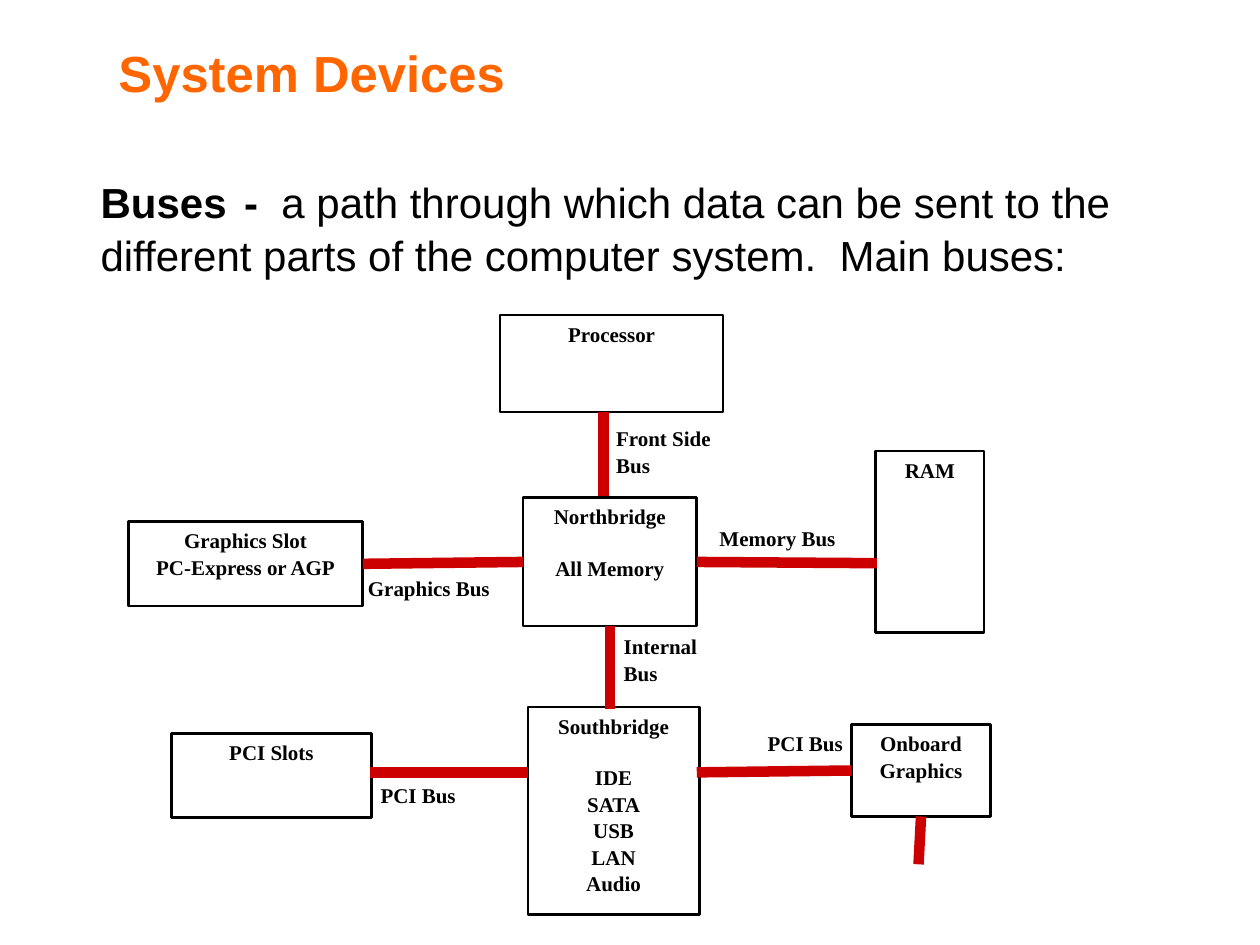
from typing import NamedTuple

from lxml import etree
from pptx import Presentation
from pptx.dml.color import RGBColor
from pptx.enum.shapes import MSO_CONNECTOR, MSO_SHAPE
from pptx.enum.text import MSO_ANCHOR, MSO_AUTO_SIZE, PP_ALIGN
from pptx.oxml.ns import qn
from pptx.util import Inches, Pt

STRAIGHT = MSO_CONNECTOR.STRAIGHT
RECTANGLE = MSO_SHAPE.RECTANGLE
TOP, MIDDLE = MSO_ANCHOR.TOP, MSO_ANCHOR.MIDDLE
NO_FIT, GROW = MSO_AUTO_SIZE.NONE, MSO_AUTO_SIZE.SHAPE_TO_FIT_TEXT
LEFT, CENTER, RIGHT = PP_ALIGN.LEFT, PP_ALIGN.CENTER, PP_ALIGN.RIGHT
BOTTOM_SIDE, LEFT_SIDE, RIGHT_SIDE = 2, 1, 3

COLORS = {"title": "FF6600", "text": "000000", "outline": "000000", "bus": "CC0000"}
TITLE_ONLY = 5
COLUMNS, ROWS = 100, 75
LINE_SPACING = 1.05
BLOCK_GAP = Pt(14.5)

# name: (left, top, width, height, lines, gap after the first line)
DEVICES = {
    "processor": (29.5, 0, 17.7, 7.7, ["Processor"], False),
    "ram": (59.3, 10.8, 8.6, 14.4, ["RAM"], False),
    "northbridge": (31.3, 14.5, 13.8, 10.2, ["Northbridge", "All Memory"], True),
    "southbridge": (31.7, 31.1, 13.6, 16.5,
                    ["Southbridge", "IDE", "SATA", "USB", "LAN", "Audio"], True),
    "graphics slot": (0, 16.4, 18.6, 6.7, ["Graphics Slot", "PC-Express or AGP"], False),
    "pci slots": (3.4, 33.2, 15.9, 6.7, ["PCI Slots"], False),
    "onboard": (57.4, 32.5, 11, 7.3, ["Onboard", "Graphics"], False),
}
# start, end, joined start, joined end
BUSES = [
    ((37.7, 7.7), (37.7, 14.4), None, None),
    ((38.2, 24.7), (38.2, 31.3), ("northbridge", BOTTOM_SIDE), None),
    ((18.6, 19.7), (31.3, 19.7), ("graphics slot", RIGHT_SIDE), ("northbridge", LEFT_SIDE)),
    ((45, 19.7), (59.4, 19.7), ("northbridge", RIGHT_SIDE), None),
    ((19.2, 36.3), (31.7, 36.3), None, None),
    ((45.1, 36.3), (57.4, 36.3), None, ("onboard", LEFT_SIDE)),
    ((62.9, 39.8), (62.7, 43.6), ("onboard", BOTTOM_SIDE), None),
]
LABELS = [
    ("Front Side Bus", 38.3, 8.3, 9.5, 6.1, LEFT),
    ("Memory Bus", 46.5, 16.2, 12.2, 2.8, LEFT),
    ("Graphics Bus", 18.6, 20.2, 12.2, 2.8, LEFT),
    ("Internal Bus", 38.9, 24.8, 9.5, 6.1, LEFT),
    ("PCI Bus", 19.6, 36.6, 11.1, 2.8, LEFT),
    ("PCI Bus", 46, 32.5, 11.1, 2.8, RIGHT),
]


class Box(NamedTuple):
    """A region of the page in length units, with the size of its grid cell."""
    left: int
    top: int
    width: int
    height: int
    column: float
    row: float

    def point(self, across, down):
        """Return the place that lies so many columns and rows into the box."""
        return round(self.left + across * self.column), round(self.top + down * self.row)

    def inner(self, across, down, columns, rows):
        """Return a smaller box inside this one."""
        return Box(*self.point(across, down), round(columns * self.column),
                   round(rows * self.row), self.column, self.row)


def color(name):
    """Return the named colour."""
    return RGBColor.from_string(COLORS[name])


def set_font(font, face, size, bold, shade="text"):
    """Set face, size, weight and colour of a font."""
    font.name, font.size, font.bold = face, Pt(size), bold
    font.color.rgb = color(shade)


def write_lines(shape, lines, align, gap=False):
    """Write small bold lines at the top of a device or label."""
    frame = shape.text_frame
    frame.word_wrap, frame.auto_size, frame.vertical_anchor = True, NO_FIT, TOP
    frame.margin_left = frame.margin_right = Inches(0.04)
    frame.margin_top = frame.margin_bottom = Inches(0.04)
    frame.text = "\n".join(lines)
    for para in frame.paragraphs:
        para.alignment, para.line_spacing = align, LINE_SPACING
        set_font(para.font, "Times New Roman", 12, True)
    if gap:
        frame.paragraphs[0].space_after = BLOCK_GAP


def place_title(page, box):
    """Place the title in the given box."""
    title = page.shapes.title
    title.left, title.top, title.width, title.height = box[:4]
    frame = title.text_frame
    frame.text = "System Devices"
    frame.vertical_anchor, frame.auto_size = MIDDLE, NO_FIT
    para = frame.paragraphs[0]
    para.alignment = LEFT
    set_font(para.font, "Arial", 29, True, "title")


def place_definition(page, box):
    """Place the definition of a bus in the given box."""
    frame = page.shapes.add_textbox(*box[:4]).text_frame
    frame.word_wrap, frame.auto_size = True, GROW
    para = frame.paragraphs[0]
    para.line_spacing = LINE_SPACING
    pieces = [
        ("Buses", 24, True), ("  ", 18, True), ("-  ", 24, True),
        ("a path through which data can be sent to the different parts "
         "of the computer system.  Main buses:", 24, False),
    ]
    for words, size, bold in pieces:
        span = para.add_run()
        span.text = words
        set_font(span.font, "Arial", size, bold)


def add_device(page, box, lines, gap):
    """Add one outlined device and return it."""
    device = page.shapes.add_shape(RECTANGLE, *box[:4])
    device.shadow.inherit = False
    device.fill.background()
    device.line.color.rgb = color("outline")
    device.line.width = Pt(1.5)
    write_lines(device, lines, CENTER, gap)
    return device


def add_bus(page, start, end):
    """Add one thick bus line and return it."""
    bus = page.shapes.add_connector(STRAIGHT, *start, *end)
    bus.line.color.rgb = color("bus")
    bus.line.width = Pt(6)
    etree.SubElement(bus._element.spPr, qn("a:effectLst"))
    return bus


def place_diagram(page, box):
    """Place devices, buses and labels in the given box."""
    devices = {}
    for name, (*place, lines, gap) in DEVICES.items():
        devices[name] = add_device(page, box.inner(*place), lines, gap)
    for start, end, first, last in BUSES:
        bus = add_bus(page, box.point(*start), box.point(*end))
        if first:
            bus.begin_connect(devices[first[0]], first[1])
        if last:
            bus.end_connect(devices[last[0]], last[1])
    for words, *place, align in LABELS:
        label = page.shapes.add_textbox(*box.inner(*place)[:4])
        write_lines(label, [words], align)


def main():
    """Build the deck and save it."""
    deck = Presentation()
    deck.slide_width, deck.slide_height = Inches(10), Inches(7.5)
    page = deck.slides.add_slide(deck.slide_layouts[TITLE_ONLY])
    width, height = deck.slide_width, deck.slide_height
    whole = Box(0, 0, width, height, width / COLUMNS, height / ROWS)
    place_title(page, whole.inner(8.4, 3, 76.5, 5.5))
    place_definition(page, whole.inner(7, 13.3, 82.8, 9))
    place_diagram(page, whole.inner(10.2, 25, 68.4, 47.6))
    deck.save("out.pptx")


if __name__ == "__main__":
    main()
